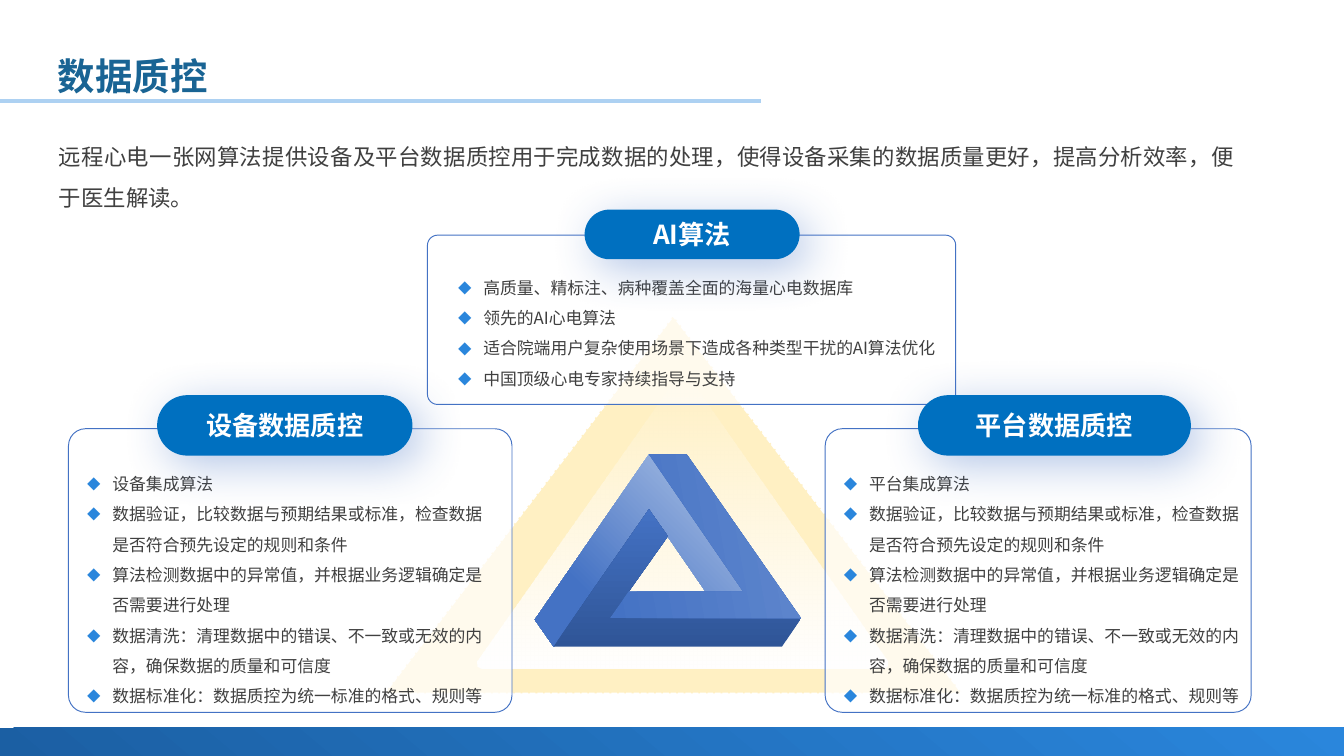
from lxml.etree import SubElement
from pptx import Presentation
from pptx.dml.color import RGBColor
from pptx.enum.dml import MSO_LINE
from pptx.enum.shapes import MSO_CONNECTOR, MSO_SHAPE as SHAPE
from pptx.enum.text import MSO_ANCHOR as ANCHOR, MSO_AUTO_SIZE as AUTO, PP_ALIGN as ALIGN
from pptx.oxml.ns import qn
from pptx.util import Pt

FONT = "Noto Sans CJK SC"
BLUE, PILL, ACCENT, GREY, WHITE = "4472C4", "0070C0", "2A86DC", "404040", "FFFFFF"
BODY = {"size": Pt(9), "bold": False}
INTRO = {"size": Pt(12), "bold": False}
LABEL = {"size": Pt(14), "bold": True}
TITLE = {"size": Pt(20), "bold": True}

SHARED_CHECKS = [
    "数据验证，比较数据与预期结果或标准，检查数据是否符合预先设定的规则和条件",
    "算法检测数据中的异常值，并根据业务逻辑确定是否需要进行处理",
    "数据清洗：清理数据中的错误、不一致或无效的内容，确保数据的质量和可信度",
    "数据标准化：数据质控为统一标准的格式、规则等",
]
# label, panel box, text offset and size, label offset and size, bullets
PANELS = [
    ("AI算法", (229, 126, 283, 90.7), (9.3, 13.7, 279.4, 72.7), (84.2, -13.7, 115.2, 26.6),
     ["高质量、精标注、病种覆盖全面的海量心电数据库", "领先的AI心电算法",
      "适合院端用户复杂使用场景下造成各种类型干扰的AI算法优化",
      "中国顶级心电专家持续指导与支持"]),
    ("平台数据质控", (442.1, 229.7, 228.2, 151.9), (2.9, 15.1, 232.6, 136),
     (49.7, -18, 146.2, 32.4), ["平台集成算法"] + SHARED_CHECKS),
    ("设备数据质控", (36.7, 229.7, 237.6, 151.9), (2.9, 15.1, 231.8, 136),
     (47.5, -18, 136.8, 32.4), ["设备集成算法"] + SHARED_CHECKS),
]


def rgb(value):
    return RGBColor.from_string(value)


def pts(box):
    return [Pt(v) for v in box]


def set_alpha(parent, percents):
    for clr, percent in zip(parent.iter(qn("a:srgbClr")), percents):
        SubElement(clr, qn("a:alpha"), val=str(percent * 1000))


def paint(sp, color, alpha=None, line=None, width=0.5):
    sp.shadow.inherit = False
    sp.fill.solid()
    sp.fill.fore_color.rgb = rgb(color)
    if alpha is not None:
        set_alpha(sp.fill._xPr.find(qn("a:solidFill")), [alpha])
    if line:
        sp.line.color.rgb = rgb(line)
        sp.line.width = Pt(width)
    else:
        sp.line.fill.background()


def paint_gradient(sp, start, end, angle, end_at=1, alphas=()):
    """Fill with two colours; the angle runs clockwise from left to right."""
    sp.shadow.inherit = False
    sp.line.fill.background()
    sp.fill.gradient()
    sp.fill.gradient_angle = (360 - angle) % 360
    for stop, color, position in zip(sp.fill.gradient_stops, (start, end), (0, end_at)):
        stop.color.rgb = rgb(color)
        stop.position = position
    set_alpha(sp.fill._xPr.find(qn("a:gradFill")), alphas)


def write(p, text, color, style):
    r = p.add_run()
    r.text = text
    r.font.name = FONT
    r.font.color.rgb = rgb(color)
    for name, value in style.items():
        setattr(r.font, name, value)
    SubElement(r._r.get_or_add_rPr(), qn("a:ea"), typeface=FONT)


def add_bullet(p):
    pPr = p._p.get_or_add_pPr()
    pPr.set("marL", str(Pt(13.5)))
    pPr.set("indent", str(-Pt(13.5)))
    SubElement(SubElement(pPr, qn("a:buClr")), qn("a:srgbClr"), val=ACCENT)
    SubElement(pPr, qn("a:buSzPct"), val="80000")
    SubElement(pPr, qn("a:buFont"), typeface=FONT)
    SubElement(pPr, qn("a:buChar"), char="◆")


def add_text(slide, box, lines, style, bulleted=False):
    tf = slide.shapes.add_textbox(*pts(box)).text_frame
    tf.word_wrap = True
    tf.auto_size = AUTO.SHAPE_TO_FIT_TEXT
    for i, text in enumerate(lines):
        p = tf.add_paragraph() if i else tf.paragraphs[0]
        p.line_spacing = 1.5
        if bulleted:
            add_bullet(p)
        else:
            p.alignment = ALIGN.JUSTIFY
        write(p, text, GREY, style)


def add_header(slide, box, text):
    left, top, width, height = box
    rule = slide.shapes.add_connector(MSO_CONNECTOR.STRAIGHT, *pts((0, 54, 407.5, 54)))
    rule.line.color.rgb = rgb("ADD1F2")
    rule.line.width = Pt(2)
    SubElement(rule._element.spPr, qn("a:effectLst"))
    title = slide.shapes.title
    title.left, title.top, title.width, title.height = pts((left, top, width, height))
    tf = title.text_frame
    tf.auto_size = AUTO.NONE
    tf.vertical_anchor = ANCHOR.MIDDLE
    for side in ("left", "right", "top", "bottom"):
        setattr(tf, "margin_" + side, Pt(3.6))
    p = tf.paragraphs[0]
    p.alignment = ALIGN.LEFT
    p.line_spacing = Pt(60.8)
    write(p, text, "196494", TITLE)


def add_footer(slide, box):
    sp = slide.shapes.add_shape(SHAPE.RECTANGLE, *pts(box))
    paint_gradient(sp, "1B5FA3", ACCENT, 310)


def add_polygon(shapes, origin, points):
    x, y = origin
    page = [(Pt(x + dx), Pt(y + dy)) for dx, dy in points]
    builder = shapes.build_freeform(*page[0], scale=1.0)
    builder.add_line_segments(page[1:], close=True)
    return builder.convert_to_shape()


def add_emblem(slide, box):
    """Pale triangle with a three-bar impossible triangle in its middle."""
    x, y, width, height = box
    shapes = slide.shapes.add_group_shape().shapes
    back = shapes.add_shape(SHAPE.ISOSCELES_TRIANGLE, *pts(box))
    paint(back, "FFD966", 39, WHITE, 1)
    back.line.dash_style = MSO_LINE.SQUARE_DOT
    glow = add_polygon(shapes, (x + 49.4, y + 30.2), [
        (0.3, 154.8), (107.3, 2.2), (108.7, 0.6), (110.2, 0), (111.7, 0.6), (113.1, 2.2),
        (219.7, 154.8), (219.9, 157.2), (217, 159), (3, 159), (0.6, 157.6)])
    paint_gradient(glow, WHITE, WHITE, 90, alphas=(0, 100))

    origin = (x + 80.6, y + 74.2)
    tip, shoulder, notch = (61.2, 0), (81.4, 0), (111.6, 73.4)
    inner_left, inner_top, inner_right = (40.3, 87.8), (61.2, 29.5), (91.4, 73.4)
    low_left, corner, low_right = (10.1, 103), (0, 88.6), (132.5, 103)
    right, hole_top, hole_left = (142.6, 87.8), (71.3, 43.9), (50.4, 73.4)
    bars = [
        ([corner, tip, notch, inner_right, inner_top, low_left], "B4C7E7", BLUE, 135, 0.74),
        ([low_right, low_left, inner_top, hole_top, inner_left, right], "2F5597", BLUE, 270, 1),
        ([shoulder, right, inner_left, hole_left, notch, tip], BLUE, "6087CD", 350, 1),
    ]
    for points, start, end, angle, end_at in bars:
        paint_gradient(add_polygon(shapes, origin, points), start, end, angle, end_at)


def add_label(slide, box, text):
    sp = slide.shapes.add_shape(SHAPE.ROUNDED_RECTANGLE, *pts(box))
    sp.adjustments[0] = 0.5
    paint(sp, PILL)
    effects = sp._element.spPr.find(qn("a:effectLst"))
    shadow = SubElement(effects, qn("a:outerShdw"), blurRad=str(Pt(25)), dist=str(Pt(7)),
                        dir=str(45 * 60000), algn="tl", rotWithShape="0")
    SubElement(shadow, qn("a:srgbClr"), val=BLUE)
    set_alpha(shadow, [40])
    tf = sp.text_frame
    tf.vertical_anchor = ANCHOR.MIDDLE
    tf.paragraphs[0].alignment = ALIGN.CENTER
    write(tf.paragraphs[0], text, WHITE, LABEL)


def add_panel(slide, box, label, text_box, label_box, bullets):
    x, y = box[:2]
    sp = slide.shapes.add_shape(SHAPE.ROUNDED_RECTANGLE, *pts(box))
    sp.adjustments[0] = 0.06
    paint(sp, WHITE, 71, BLUE)
    dx, dy, *size = text_box
    add_text(slide, (x + dx, y + dy, *size), bullets, BODY, bulleted=True)
    dx, dy, *size = label_box
    add_label(slide, (x + dx, y + dy, *size), label)


def main():
    prs = Presentation()
    prs.slide_width, prs.slide_height = Pt(720), Pt(405)
    slide = prs.slides.add_slide(prs.slide_layouts[5])
    add_footer(slide, (0, 390, 720, 15))
    add_header(slide, (27.4, 0, 610.6, 43.9), "数据质控")
    add_emblem(slide, (205.9, 169.2, 309.6, 202.3))
    for label, box, text_box, label_box, bullets in PANELS:
        add_panel(slide, box, label, text_box, label_box, bullets)
    add_text(slide, (24.5, 66.2, 644.4, 48.2), [
        "远程心电一张网算法提供设备及平台数据质控用于完成数据的处理，"
        "使得设备采集的数据质量更好，提高分析效率，便于医生解读。"], INTRO)
    prs.save("out.pptx")


if __name__ == "__main__":
    main()
